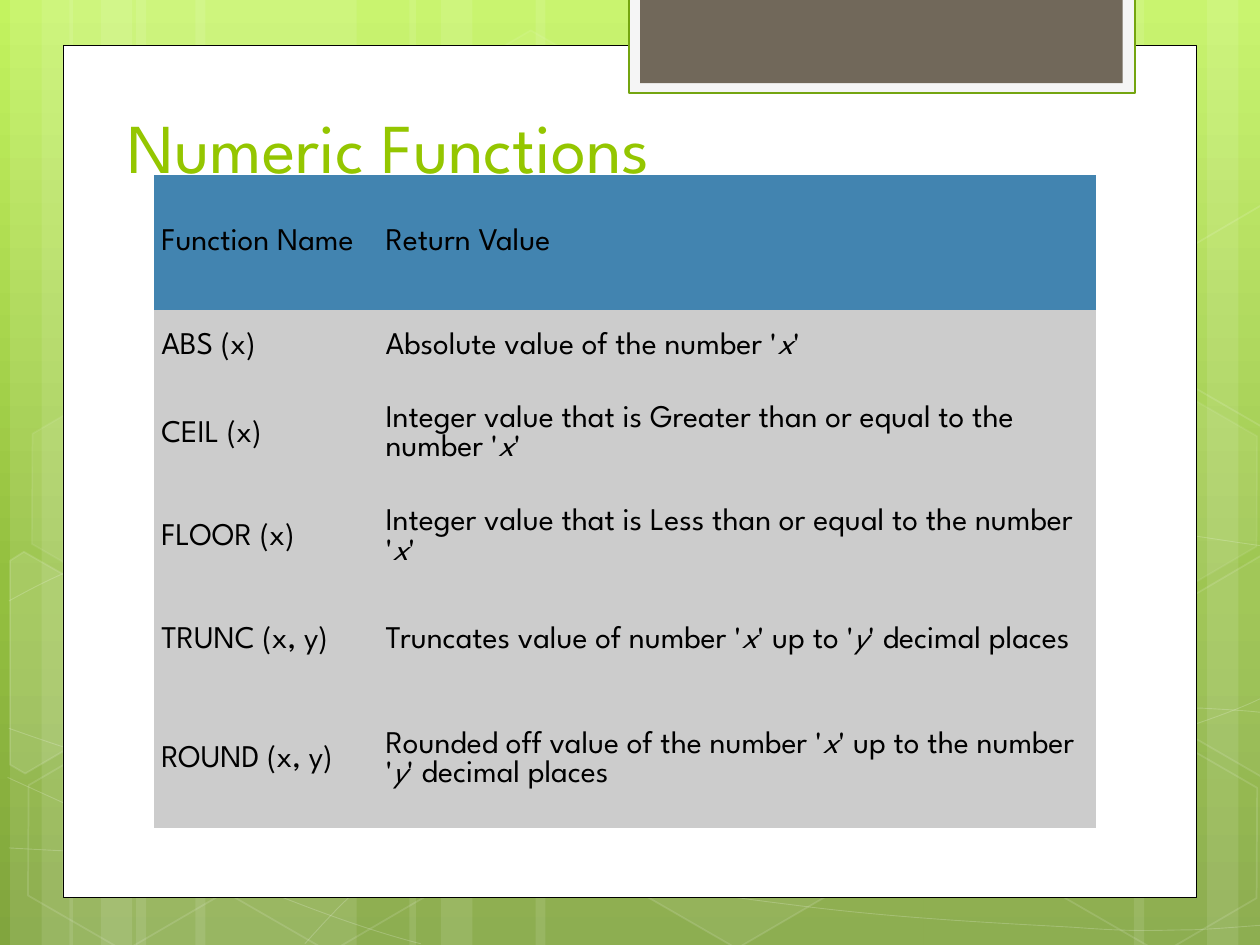
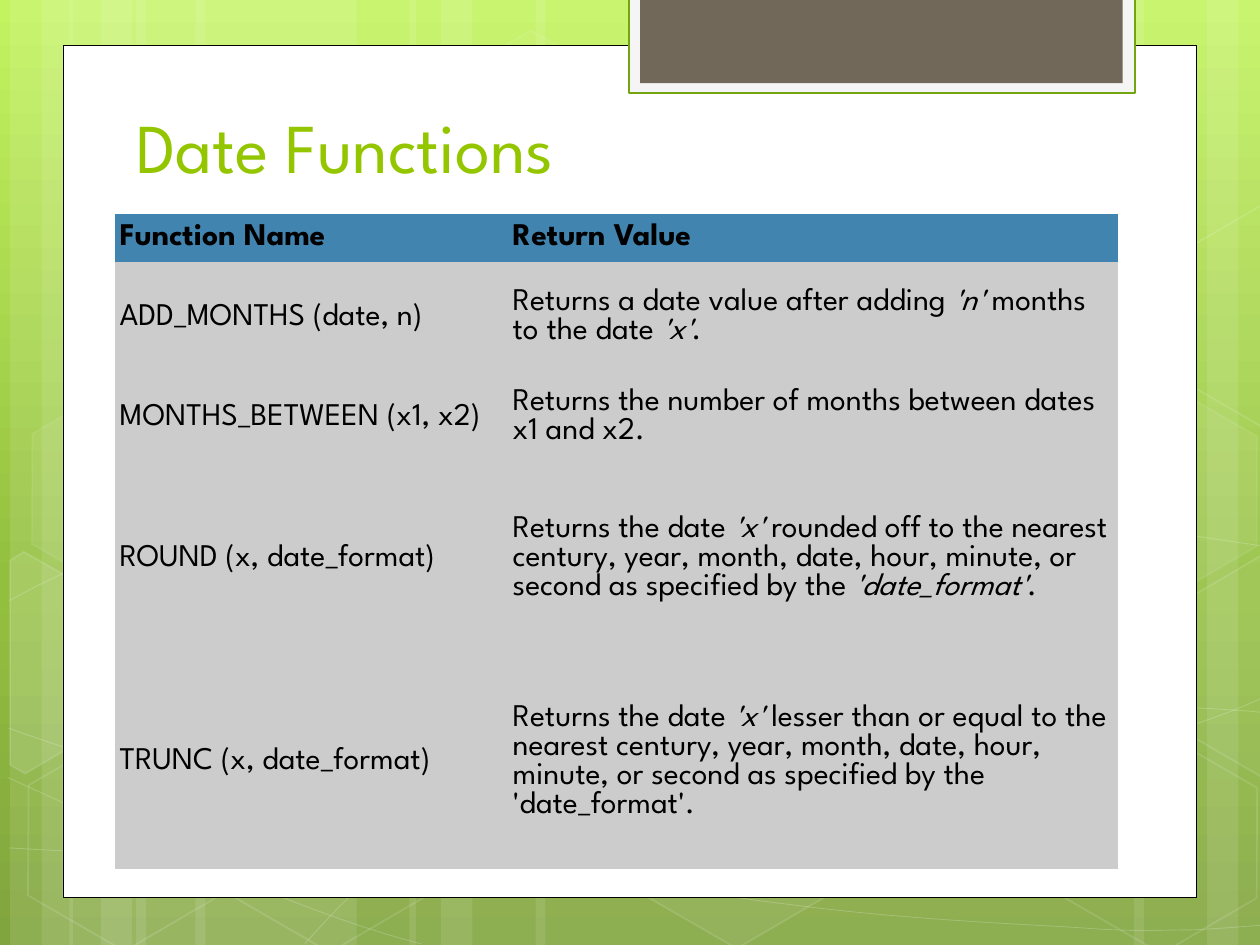
from dataclasses import dataclass
from typing import Optional

from lxml.etree import SubElement
from pptx import Presentation
from pptx.dml.color import RGBColor
from pptx.enum.shapes import MSO_SHAPE
from pptx.enum.text import MSO_ANCHOR, MSO_AUTO_SIZE, PP_ALIGN
from pptx.oxml.ns import qn
from pptx.util import Inches, Pt

FONT = "League Spartan"
COLORS = {
    "title": "94C600", "text": "000000", "header": "4284B0", "body": "CCCCCC",
    "white": "FFFFFF", "outline": "000000",
    "tab": "F5F5F5", "tab_line": "74A510", "tab_core": "71685A",
}
BACKGROUND_STOPS = [(0, "C3F35F"), (62, "93BF3F"), (100, "81A53E")]
PLAIN_TABLE_STYLE = "{2D5ABB26-0587-4C30-8999-92F81FD0307C}"


@dataclass
class Paint:
    """Fill and line of a shape; opacities are percentages."""
    fill: Optional[str] = None
    fill_opacity: int = 100
    line: Optional[str] = None
    line_width: float = 1
    line_opacity: int = 100


@dataclass
class Hexagon:
    left: float
    top: float
    fill_opacity: int
    line_opacity: int


@dataclass
class Outline:
    points: list
    paint: Paint
    curved: bool = False


@dataclass
class FunctionPage:
    """A titled table; asterisks enclose italic words."""
    title: str
    title_left: float
    left: float
    top: float
    widths: list
    heights: list
    margin: float
    bold_header: bool
    rows: list


# Backdrop: vertical stripes (left, width), hexagons and thin outlines
STRIPES = [
    (1.08, 1.75), (0.08, 0.5), (0.33, 0.83), (1.55, 1.75), (0.55, 0.5), (0.8, 0.83),
    (7.33, 1.75), (9.58, 0.5), (9, 0.83), (4.25, 3.08), (3.25, 0.5), (3.5, 0.83),
]
HEXAGONS = [
    Hexagon(3.34, 0.36, 4, 8), Hexagon(4.97, 5.89, 6, 12), Hexagon(0.11, 5.91, 0, 12),
    Hexagon(0.14, 3.12, 7, 8), Hexagon(1.74, 5.92, 0, 12), Hexagon(7.53, 4.53, 10, 12),
    Hexagon(8.34, 5.93, 0, 12), Hexagon(8.34, 3.14, 7, 8),
]
HAIRLINE = Paint(line="white", line_width=0.5, line_opacity=20)


def glass(fill_opacity: int, line_opacity: int) -> Paint:
    return Paint("white" if fill_opacity else None, fill_opacity, "white", 1, line_opacity)


# A curve is a start point followed by triples: two controls and an end
OUTLINES = [
    Outline([(0.07, 6.73), (0.61, 6.76), (1.15, 6.79), (1.9, 6.78),
             (2.65, 6.77), (3.58, 6.75), (4.58, 6.65),
             (5.58, 6.55), (7, 6.36), (7.92, 6.17),
             (8.83, 5.98), (9.77, 5.68), (10.07, 5.51)], HAIRLINE, True),
    Outline([(0.07, 4.77), (0.36, 4.61), (0.65, 4.46), (1.21, 4.31),
             (1.78, 4.16), (2.59, 3.94), (3.47, 3.87),
             (4.36, 3.8), (5.44, 3.79), (6.54, 3.87),
             (7.64, 3.95), (9.47, 4.26), (10.07, 4.34)], HAIRLINE, True),
    Outline([(0.06, 6.17), (1.27, 6.72), (2.47, 7.27), (3.34, 7.49)], HAIRLINE, True),
    Outline([(0.07, 5.78), (0.38, 5.89), (0.7, 6), (1.28, 6.16),
             (1.86, 6.31), (2.73, 6.56), (3.57, 6.73),
             (4.4, 6.9), (5.45, 7.08), (6.28, 7.18),
             (7.11, 7.29), (8, 7.33), (8.53, 7.36),
             (9.05, 7.4), (9.19, 7.38), (9.45, 7.38),
             (9.71, 7.37), (9.89, 7.35), (10.07, 7.34)], HAIRLINE, True),
    Outline([(2.42, 7.49), (2.6, 7.29), (2.78, 7.09), (3.02, 6.91),
             (3.26, 6.73), (3.6, 6.53), (3.88, 6.39),
             (4.16, 6.25), (4.33, 6.19), (4.7, 6.09),
             (5.06, 5.99), (5.73, 5.85), (6.08, 5.78),
             (6.44, 5.71), (6.49, 5.71), (6.8, 5.69),
             (7.11, 5.66), (7.6, 5.63), (7.94, 5.62),
             (8.29, 5.61), (8.86, 5.62), (8.86, 5.62),
             (9.08, 5.62), (9.31, 5.62), (9.53, 5.62),
             (9.71, 5.63), (9.88, 5.64), (9.97, 5.65),
             (10.06, 5.66), (10.03, 5.65), (10.06, 5.66)], HAIRLINE, True),
    Outline([(0.08, 4.45), (0.19, 4.38), (0.96, 4.82), (0.95, 5.7),
             (0.2, 6.14), (0.08, 6.07)], glass(10, 12)),
    Outline([(9.26, 4.85), (10.01, 4.41), (10.09, 4.46), (10.09, 6.13),
             (10.02, 6.17), (9.26, 5.73)], glass(4, 12)),
    Outline([(9.26, 2.07), (10.01, 1.63), (10.1, 1.68), (10.09, 3.35),
             (10.02, 3.39), (9.26, 2.95)], glass(0, 12)),
]

HEADER = ("Function Name", "Return Value")
PAGES = [
    FunctionPage(
        "Numeric Functions", 0.91, 1.22, 1.39, [1.78, 5.7],
        [1.07, 0.58, 0.82, 0.82, 0.82, 1.07], 0.06, False,
        [HEADER,
         ("ABS (x)", "Absolute value of the number '*x*'"),
         ("CEIL (x)", "Integer value that is Greater than or equal to the number '*x*'"),
         ("FLOOR (x)", "Integer value that is Less than or equal to the number '*x*'"),
         ("TRUNC (x, y)", "Truncates value of number '*x*' up to '*y*' decimal places"),
         ("ROUND (x, y)",
          "Rounded off value of the number '*x*' up to the number '*y*' decimal places")]),
    FunctionPage(
        "Date Functions", 0.98, 0.91, 1.7, [3.12, 4.84],
        [0.38, 0.88, 0.71, 1.53, 1.7], 0.04, True,
        [HEADER,
         ("ADD_MONTHS (date, n)",
          "Returns a date value after adding *'n'* months to the date *'x'*."),
         ("MONTHS_BETWEEN (x1, x2)",
          "Returns the number of months between dates x1 and x2."),
         ("ROUND (x, date_format)",
          "Returns the date *'x'* rounded off to the nearest century, year, month, date, "
          "hour, minute, or second as specified by the *'date_format'*."),
         ("TRUNC (x, date_format)",
          "Returns the date *'x'* lesser than or equal to the nearest century, year, month, "
          "date, hour, minute, or second as specified by the 'date_format'.")]),
]


def rgb(name: str) -> RGBColor:
    return RGBColor.from_string(COLORS[name])


def set_opacity(solid_fill, percent: int) -> None:
    if percent < 100:
        SubElement(solid_fill[0], qn("a:alpha"), val=str(percent * 1000))


def apply_paint(shape, paint: Paint) -> None:
    properties = shape.element.spPr
    shape.shadow.inherit = False
    if paint.fill:
        shape.fill.solid()
        shape.fill.fore_color.rgb = rgb(paint.fill)
        set_opacity(properties.find(qn("a:solidFill")), paint.fill_opacity)
    else:
        shape.fill.background()
    if paint.line:
        shape.line.color.rgb = rgb(paint.line)
        shape.line.width = Pt(paint.line_width)
        set_opacity(properties.find(qn("a:ln")).find(qn("a:solidFill")), paint.line_opacity)
    else:
        shape.line.fill.background()


def add_preset(shapes, kind, left: float, top: float, width: float, height: float,
               paint: Paint):
    shape = shapes.add_shape(kind, Inches(left), Inches(top), Inches(width), Inches(height))
    apply_paint(shape, paint)
    return shape


def add_outline(shapes, outline: Outline) -> None:
    points = [(Inches(x), Inches(y)) for x, y in outline.points]
    builder = shapes.build_freeform(*points[0])
    builder.add_line_segments(points[1:], close=not outline.curved)
    shape = builder.convert_to_shape()
    apply_paint(shape, outline.paint)
    if outline.curved:
        # Join each three straight segments into one cubic curve
        track = next(shape.element.iter(qn("a:path")))
        lines = track.findall(qn("a:lnTo"))
        for first in range(0, len(lines), 3):
            curve = SubElement(track, qn("a:cubicBezTo"))
            for line in lines[first:first + 3]:
                curve.append(line[0])
                track.remove(line)


def write(frame, text: str, *, size: float, color: str, bold: bool = False) -> None:
    para = frame.paragraphs[0]
    para.alignment = PP_ALIGN.LEFT
    for index, part in enumerate(text.split("*")):
        if part:
            span = para.add_run()
            span.text = part
            span.font.name = FONT
            span.font.size = Pt(size)
            span.font.color.rgb = rgb(color)
            span.font.bold = bold
            span.font.italic = index % 2 == 1


def draw_backdrop(shapes) -> None:
    for left, width in STRIPES:
        add_preset(shapes, MSO_SHAPE.RECTANGLE, left, 0, width, 7.5, Paint("white", 10))
    for outline in OUTLINES:
        add_outline(shapes, outline)
    for item in HEXAGONS:
        hexagon = add_preset(shapes, MSO_SHAPE.HEXAGON, item.left, item.top, 1.75, 1.52,
                             glass(item.fill_opacity, item.line_opacity))
        hexagon.adjustments[0] = 0.285
        hexagon.rotation = 30
    # White card with the tab hanging from the top edge
    add_preset(shapes, MSO_SHAPE.RECTANGLE, 0.5, 0.36, 9, 6.76,
               Paint("white", line="outline", line_width=0.5))
    add_preset(shapes, MSO_SHAPE.RECTANGLE, 4.99, -0.02, 4.02, 0.76,
               Paint("tab", line="tab_line", line_width=1.25))
    add_preset(shapes, MSO_SHAPE.RECTANGLE, 5.08, -0.02, 3.83, 0.68, Paint("tab_core"))


def set_background(layout) -> None:
    fill = layout.background.fill
    fill.gradient()
    fill.gradient_angle = 270
    stops = next(layout.element.iter(qn("a:gsLst")))
    for stop in list(stops):
        stops.remove(stop)
    for position, color in BACKGROUND_STOPS:
        stop = SubElement(stops, qn("a:gs"), pos=str(position * 1000))
        SubElement(stop, qn("a:srgbClr"), val=color)


def move_to_layout(page, layout) -> None:
    """Put the shapes of the page behind everything on the layout."""
    for holder in list(layout.placeholders):
        if holder.placeholder_format.idx != 0:
            holder.element.getparent().remove(holder.element)
    drawn = [shape.element for shape in page.shapes if not shape.is_placeholder]
    for index, element in enumerate(drawn, start=2):
        layout.shapes.element.insert(index, element)


def add_title(page, text: str, left: float) -> None:
    title = page.shapes.title
    title.left, title.top = Inches(left), Inches(0.29)
    title.width, title.height = Inches(7.68), Inches(1.25)
    title.text_frame.vertical_anchor = MSO_ANCHOR.BOTTOM
    title.text_frame.auto_size = MSO_AUTO_SIZE.NONE
    write(title.text_frame, text, size=40, color="title")


def add_function_table(page, content: FunctionPage) -> None:
    frame = page.shapes.add_table(
        len(content.rows), len(content.widths), Inches(content.left), Inches(content.top),
        Inches(sum(content.widths)), Inches(sum(content.heights)))
    table = frame.table
    table.horz_banding = False
    next(frame.element.iter(qn("a:tableStyleId"))).text = PLAIN_TABLE_STYLE
    for column, width in zip(table.columns, content.widths):
        column.width = Inches(width)
    for index, (row, height) in enumerate(zip(table.rows, content.heights)):
        row.height = Inches(height)
        is_header = index == 0
        for cell, text in zip(row.cells, content.rows[index]):
            cell.fill.solid()
            cell.fill.fore_color.rgb = rgb("header" if is_header else "body")
            cell.vertical_anchor = MSO_ANCHOR.MIDDLE
            cell.margin_left = cell.margin_right = Inches(content.margin)
            cell.margin_top = cell.margin_bottom = Inches(content.margin / 2)
            write(cell.text_frame, text, size=18, color="text",
                  bold=is_header and content.bold_header)


# Build the deck: the shared layout first, then the pages
deck = Presentation()
deck.slide_width, deck.slide_height = Inches(10), Inches(7.5)
title_only = deck.slide_layouts[5]
set_background(title_only)
pages = [deck.slides.add_slide(title_only) for _ in PAGES]
draw_backdrop(pages[0].shapes)
move_to_layout(pages[0], title_only)
for page, content in zip(pages, PAGES):
    add_title(page, content.title, content.title_left)
    add_function_table(page, content)
deck.save("out.pptx")
